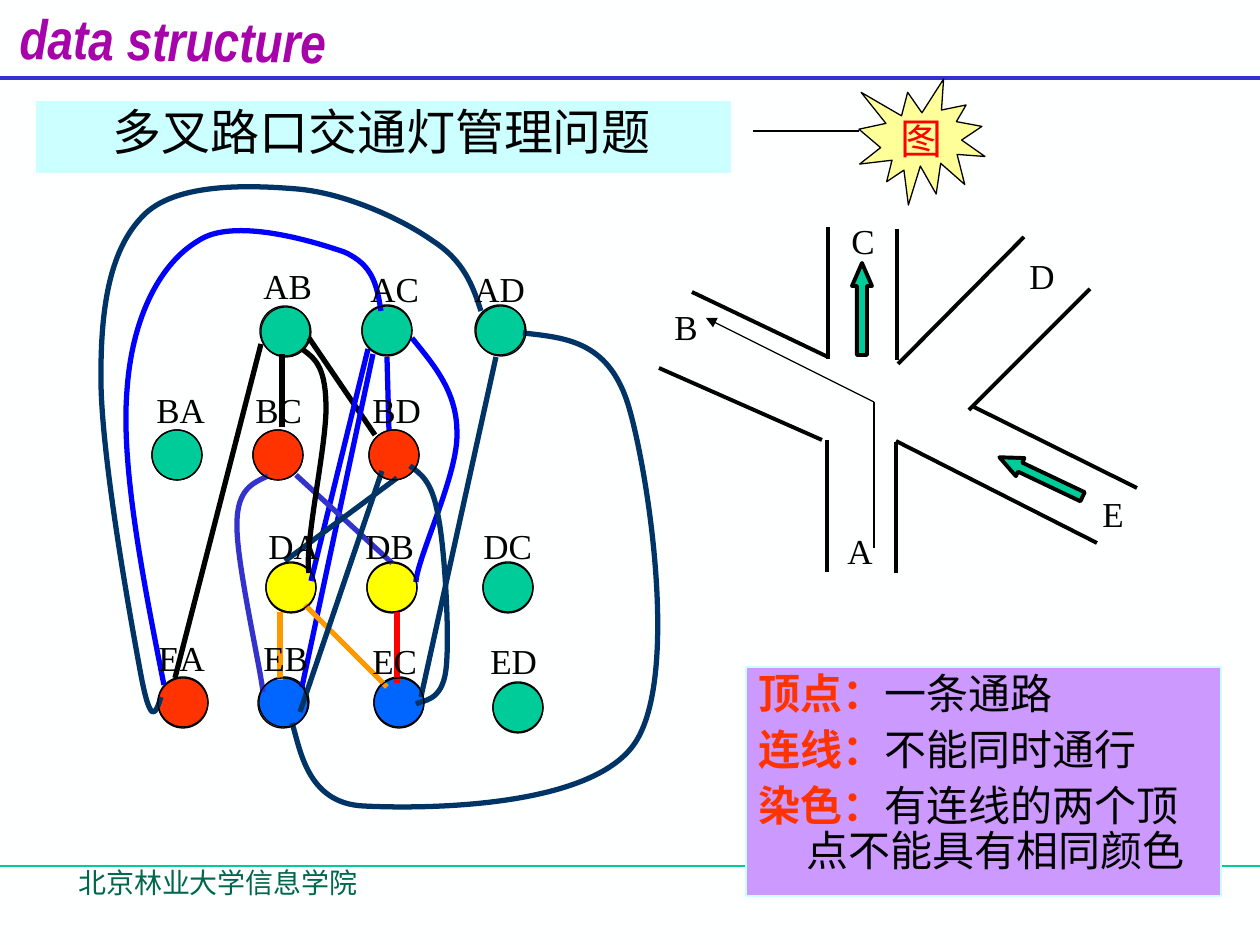
from pptx import Presentation
from pptx.dml.color import RGBColor
from pptx.enum.shapes import MSO_CONNECTOR as Connector, MSO_SHAPE as Shape
from pptx.enum.text import MSO_ANCHOR as Anchor, MSO_AUTO_SIZE as AutoSize, PP_ALIGN as Align
from pptx.oxml.ns import qn
from pptx.util import Inches, Pt
from lxml.etree import SubElement

SCALE = 914400 / 126
CJK, SERIF, NARROW = "Noto Sans CJK SC", "Times New Roman", "Arial Narrow"
COLORS = {
    "paper": "FEFFFF", "black": "000000", "green": "00CC99", "red": "FF0000",
    "vermilion": "FF3300", "yellow": "FFFF00", "sky": "0066FF", "blue": "0000FF",
    "navy": "003366", "indigo": "3333CC", "orange": "FF9900", "purple": "A603AB",
    "cyan": "CCFFFF", "lilac": "CC99FF", "cream": "FFFF99", "forest": "00664D",
}

HEADING = "data structure"
TOPIC = "多叉路口交通灯管理问题"
SCHOOL = "北京林业大学信息学院"
LEGEND = [
    ("顶点：", "一条通路"),
    ("连线：", "不能同时通行"),
    ("染色：", "有连线的两个顶点不能具有相同颜色"),
]

# name, colour, circle corner, ring offset, label corner
NODES = [
    ("AB", "green", (261, 307), (-1, -1), (251, 258)),
    ("AC", "green", (362, 305), (0, 1), (358, 261)),
    ("AD", "green", (475, 305), (1, 1), (462, 261)),
    ("BA", "green", (152, 430), (0, 0), (144, 382)),
    ("BC", "vermilion", (253, 430), (0, 0), (243, 382)),
    ("BD", "vermilion", (369, 430), (0, 0), (360, 382)),
    ("DA", "yellow", (266, 563), (0, -1), (256, 518)),
    ("DB", "yellow", (367, 563), (0, -1), (353, 518)),
    ("DC", "green", (483, 563), (0, -1), (471, 518)),
    ("EA", "vermilion", (158, 677), (0, 1), (146, 630)),
    ("EB", "sky", (259, 677), (-1, 1), (251, 630)),
    ("EC", "sky", (374, 677), (0, 1), (360, 633)),
    ("ED", "green", (493, 683), (0, -1), (478, 633)),
]
NODE_SIZE = 50

STRAIGHT_EDGES = [
    ("black", [(261, 344, 175, 678), (282, 354, 282, 427), (309, 338, 375, 435)]),
    ("blue", [(387, 357, 389, 430), (368, 349, 311, 581), (373, 354, 302, 687)]),
    ("navy", [(496, 357, 421, 697)]),
    ("indigo", [(296, 475, 392, 563)]),
    ("orange", [(280, 612, 280, 680), (305, 605, 387, 687)]),
    ("red", [(397, 612, 397, 683)]),
    ("navy", [(285, 561, 397, 478), (382, 471, 300, 712)]),
]
CURVED_EDGES = [
    ("black", (302, 349), [(314, 358, 325, 365, 326, 403), (328, 440, 304, 544, 309, 573)]),
    ("blue", (381, 311), [(377, 287, 374, 265, 344, 252), (312, 241, 233, 217, 198, 241),
                          (161, 263, 132, 316, 127, 391), (121, 465, 142, 575, 164, 685)]),
    ("blue", (412, 338), [(433, 364, 457, 391, 457, 432), (459, 473, 417, 558, 416, 582)]),
    ("navy", (481, 311), [(473, 286, 464, 261, 433, 241), (402, 219, 345, 193, 297, 189),
                          (249, 185, 179, 183, 146, 213), (113, 244, 101, 297, 101, 374),
                          (100, 451, 131, 621, 141, 675), (151, 728, 156, 713, 161, 697)]),
    ("navy", (523, 333), [(567, 338, 611, 341, 630, 411), (649, 479, 679, 677, 635, 743),
                          (591, 809, 420, 809, 363, 806), (306, 803, 300, 747, 292, 723)]),
    ("indigo", (268, 476), [(253, 483, 237, 489, 237, 524), (236, 561, 260, 665, 263, 692)]),
    ("navy", (410, 466), [(421, 474, 432, 481, 438, 515), (445, 548, 450, 639, 446, 670),
                          (442, 702, 423, 700, 416, 704)]),
]
ROADS = [
    (828, 227, 828, 359), (897, 229, 897, 360), (827, 440, 827, 572), (896, 442, 896, 573),
    (828, 357, 692, 292), (822, 440, 659, 368), (969, 410, 1090, 289), (974, 407, 1137, 488),
    (896, 441, 1097, 543), (898, 364, 1024, 237),
]
ROAD_NAMES = [("C", 839, 213, 42), ("E", 1090, 486, 47), ("D", 1017, 248, 50),
              ("A", 835, 523, 50), ("B", 662, 299, 48)]
ROAD_ARROWS = [(852, 263, 0), (1031, 431, 295.4)]


def px(value):
    return round(value * SCALE)


def color(name):
    return RGBColor.from_string(COLORS[name])


def write_text(shape, paragraphs, size=20, font=SERIF, ink="black", bold=False, italic=False,
               align=Align.LEFT, anchor=Anchor.TOP, wrap=True, margin=0, indent=0,
               line_spacing=1.0, gap=0):
    frame = shape.text_frame
    frame.auto_size = AutoSize.NONE
    frame.word_wrap = wrap
    frame.vertical_anchor = anchor
    frame.margin_left = frame.margin_right = Inches(0.1)
    frame.margin_top = frame.margin_bottom = Inches(0.05)
    for index, runs in enumerate(paragraphs):
        paragraph = frame.add_paragraph() if index else frame.paragraphs[0]
        paragraph.alignment = align
        paragraph.line_spacing = line_spacing
        paragraph.space_before = Pt(gap if index else 0)
        properties = paragraph._p.get_or_add_pPr()
        properties.set("marL", str(px(margin)))
        properties.set("indent", str(px(indent)))
        SubElement(properties, qn("a:buNone"))
        for text, changes in runs:
            run = paragraph.add_run()
            run.text = text
            run.font.size = Pt(size)
            run.font.name = font
            run.font.bold = changes.get("bold", bold)
            run.font.italic = italic
            run.font.color.rgb = color(changes.get("ink", ink))
            if font == CJK:
                SubElement(run._r.get_or_add_rPr(), qn("a:ea"), typeface=font)


def place(shape, left, top, width, height):
    shape.left, shape.top, shape.width, shape.height = map(px, (left, top, width, height))


def paint(shape, fill, line, width=0.75):
    if fill:
        shape.fill.solid()
        shape.fill.fore_color.rgb = color(fill)
    else:
        shape.fill.background()
    shape.line.color.rgb = color(line)
    shape.line.width = Pt(width)


def add_shape(slide, kind, box, fill, line="black", width=0.75):
    shape = slide.shapes.add_shape(kind, *map(px, box))
    shape.shadow.inherit = False
    paint(shape, fill, line, width)
    return shape


def add_label(slide, text, box, **text_format):
    label = slide.shapes.add_textbox(*map(px, box))
    write_text(label, [[(text, {})]], **text_format)


def add_line(slide, ends, ink="black", width=0.75, arrow=False):
    line = slide.shapes.add_connector(Connector.STRAIGHT, *map(px, ends))
    line.line.color.rgb = color(ink)
    line.line.width = Pt(width)
    if arrow:
        SubElement(line.line._get_or_add_ln(), qn("a:tailEnd"), type="triangle")
    SubElement(line._element.spPr, qn("a:effectLst"))


def add_curve(slide, start, segments, ink):
    builder = slide.shapes.build_freeform(*start, scale=SCALE)
    for segment in segments:
        builder.add_line_segments(list(zip(segment[::2], segment[1::2])), close=False)
    curve = builder.convert_to_shape()
    curve.shadow.inherit = False
    paint(curve, None, ink, 3)
    outline = next(curve._element.iter(qn("a:path")))
    steps = outline.findall(qn("a:lnTo"))
    for first in range(0, len(steps), 3):
        bezier = SubElement(outline, qn("a:cubicBezTo"))
        for step in steps[first:first + 3]:
            bezier.append(step[0])
            outline.remove(step)


def add_junction(slide):
    for road in ROADS:
        add_line(slide, road, width=2.25)
    for left, top, rotation in ROAD_ARROWS:
        arrow = add_shape(slide, Shape.UP_ARROW, (left, top, 20, 92), "green", width=2.25)
        arrow.adjustments[1] = 1.15
        arrow.rotation = rotation
    for name, left, top, width in ROAD_NAMES:
        add_label(slide, name, (left, top, width, 55), wrap=False)


def add_graph(slide):
    for name, fill, corner, offset, label in NODES:
        add_shape(slide, Shape.OVAL, (*corner, NODE_SIZE, NODE_SIZE), fill)
    for ink, edges in STRAIGHT_EDGES:
        for edge in edges:
            add_line(slide, edge, ink, 3)
    for ink, start, segments in CURVED_EDGES:
        add_curve(slide, start, segments, ink)
    for name, fill, corner, offset, label in NODES:
        add_label(slide, name, (*label, 73, 55), wrap=False)
    for name, fill, (left, top), (dx, dy), label in NODES:
        add_shape(slide, Shape.OVAL, (left + dx, top + dy, NODE_SIZE, NODE_SIZE), None)


def main():
    presentation = Presentation()
    presentation.slide_width, presentation.slide_height = px(1260), px(945)
    slide = presentation.slides.add_slide(presentation.slide_layouts[1])
    slide.background.fill.solid()
    slide.background.fill.fore_color.rgb = color("paper")
    add_line(slide, (0, 866, 1260, 866), "green")
    add_line(slide, (0, 78, 1260, 78), "indigo", 2.25)

    title, topic = slide.placeholders
    place(title, 3, -1, 340, 68)
    title.rotation = 0.8
    write_text(title, [[(HEADING, {})]], size=32, font=NARROW, ink="purple", bold=True,
               italic=True, align=Align.CENTER, wrap=False)
    place(topic, 37, 102, 693, 70)
    paint(topic, "cyan", "cyan")
    write_text(topic, [[(TOPIC, {})]], size=28, font=CJK, margin=102, indent=-39,
               line_spacing=0.9)

    add_junction(slide)
    add_graph(slide)
    burst = add_shape(slide, Shape.EXPLOSION1, (859, 79, 126, 126), "cream")
    write_text(burst, [[("图", {})]], size=24, ink="red", align=Align.CENTER,
               anchor=Anchor.MIDDLE, wrap=False)
    add_line(slide, (753, 131, 859, 131))
    add_line(slide, (874, 548, 874, 402))
    add_line(slide, (874, 402, 706, 318), arrow=True)

    legend = add_shape(slide, Shape.RECTANGLE, (746, 667, 475, 229), "lilac", "cyan")
    rows = [[(term, {"ink": "vermilion", "bold": True}), (meaning, {})]
            for term, meaning in LEGEND]
    write_text(legend, rows, size=24, font=CJK, margin=48, indent=-48, line_spacing=0.9, gap=6)
    add_label(slide, SCHOOL, (66, 859, 522, 63), size=16, font=CJK, ink="forest")
    presentation.save("out.pptx")


if __name__ == "__main__":
    main()
